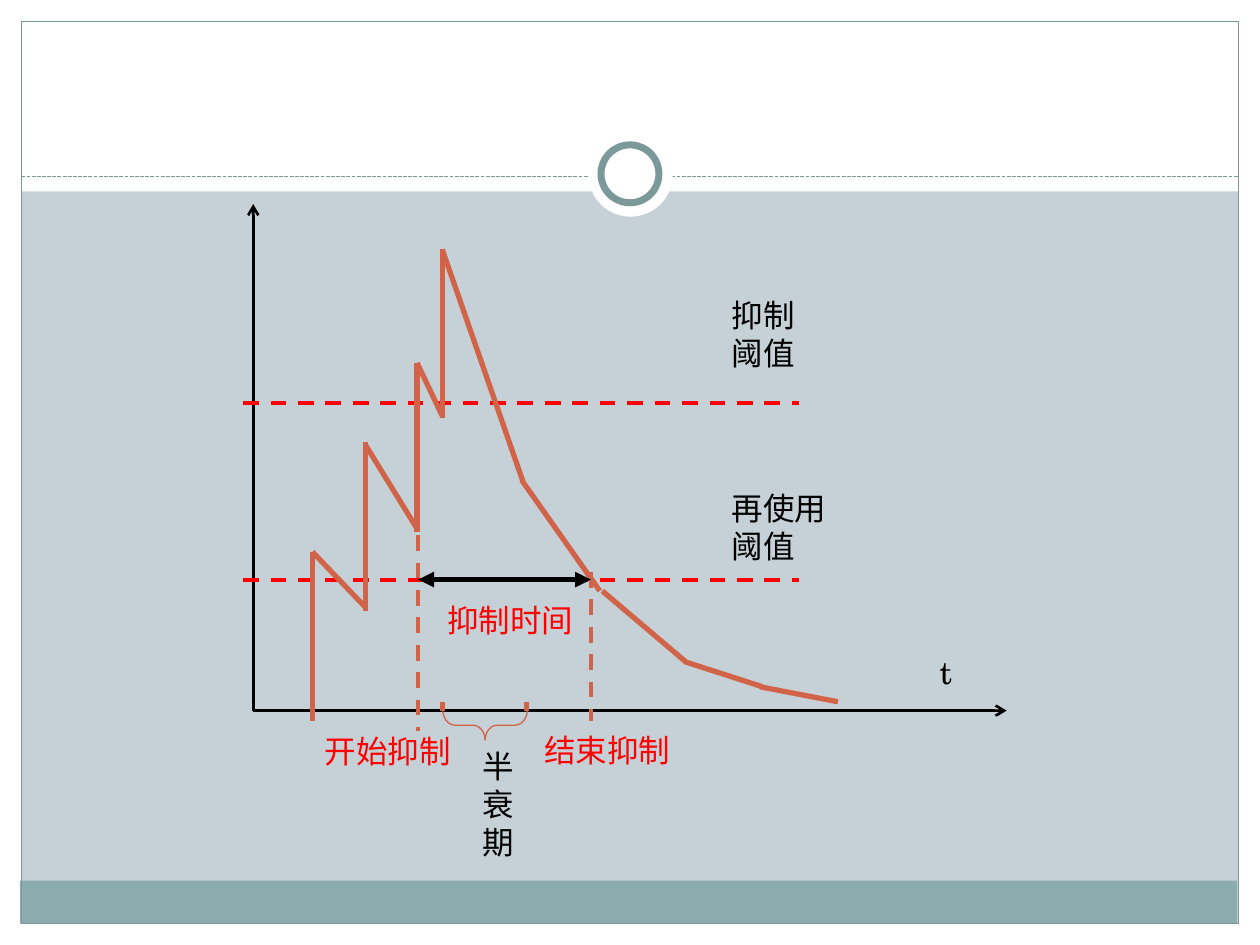
from pptx import Presentation
from pptx import util as u
from pptx.dml.color import RGBColor
from pptx.enum import dml, shapes, text
from pptx.oxml import ns, xmlchemy

PX = 9144
COLORS = {"bg": "C5D1D7", "white": "FFFFFF", "band": "8CADAE", "frame": "7C999A",
          "black": "000000", "red": "FF0000", "curve": "D16349"}
CJK, LATIN = "Noto Sans CJK SC", "TeX Gyre Schola"
DASH = dml.MSO_LINE.DASH
SHAPE = shapes.MSO_SHAPE


def rgb(name):
    return RGBColor.from_string(COLORS[name])


def add_xml(parent, tag, **attrs):
    el = xmlchemy.OxmlElement(tag)
    for key, value in attrs.items():
        el.set(key, value)
    parent.append(el)


class Canvas:
    frame_format = {"word_wrap": True, "auto_size": text.MSO_AUTO_SIZE.SHAPE_TO_FIT_TEXT}
    font_size = u.Pt(18)

    def __init__(self, slide):
        self.s = slide
        fill = slide.background.fill
        fill.solid()
        fill.fore_color.rgb = rgb("bg")

    def stroke(self, line, color, width, dash=None):
        line.color.rgb = rgb(color)
        for key, value in {"width": u.Pt(width), "dash_style": dash}.items():
            setattr(line, key, value)

    def shape(self, kind, box, fill=None, line=None, width=0.75):
        sp = self.s.shapes.add_shape(kind, *(v * PX for v in box))
        sp.shadow.inherit = False
        if fill:
            sp.fill.solid()
            sp.fill.fore_color.rgb = rgb(fill)
        else:
            sp.fill.background()
        if line:
            self.stroke(sp.line, line, width)
        else:
            sp.line.fill.background()
        return sp

    def line(self, x1, y1, x2, y2, color="curve", width=3, dash=None, head=None, tail=None):
        c = self.s.shapes.add_connector(shapes.MSO_CONNECTOR.STRAIGHT,
                                        *(v * PX for v in (x1, y1, x2, y2)))
        self.stroke(c.line, color, width, dash)
        ln = c.line._get_or_add_ln()
        for tag, kind in (("a:headEnd", head), ("a:tailEnd", tail)):
            if kind:
                add_xml(ln, tag, type=kind)
        add_xml(c._element.spPr, "a:effectLst")

    def label(self, box, lines, color="black", font=CJK):
        tf = self.s.shapes.add_textbox(*(v * PX for v in box)).text_frame
        for key, value in self.frame_format.items():
            setattr(tf, key, value)
        for i, content in enumerate(lines):
            p = tf.paragraphs[0] if i == 0 else tf.add_paragraph()
            r = p.add_run()
            r.text = content
            for key, value in {"name": font, "size": self.font_size}.items():
                setattr(r.font, key, value)
            r.font.color.rgb = rgb(color)
            add_xml(r._r.find(ns.qn("a:rPr")), "a:ea", typeface=font)


def draw_backdrop(c):
    for box in ((0, 733, 1000, 17), (0, 0, 1000, 152), (0, 0, 17, 750), (983, 0, 17, 750)):
        c.shape(SHAPE.RECTANGLE, box, "white")
    c.shape(SHAPE.RECTANGLE, (16, 699, 966, 34), "band")
    c.shape(SHAPE.RECTANGLE, (17, 17, 966, 716), line="frame")
    c.line(17, 140, 983, 140, "frame", 0.75, dml.MSO_LINE.SQUARE_DOT)
    c.shape(SHAPE.OVAL, (467, 105, 67, 67), "white")
    c.shape(SHAPE.OVAL, (477, 115, 46, 46), "white", "frame", 4)


def draw_axes(c):
    for end in ((799, 564), (201, 162)):
        c.line(201, 564, *end, "black", 1.5, tail="arrow")
    for y in (320, 460):
        c.line(193, y, 634, y, "red", 2.25, DASH)
    c.label((571, 230, 79, 71), ["抑制阈值"])
    c.label((571, 383, 96, 71), ["再使用阈值"])
    c.label((736, 513, 39, 40), ["t"], font=LATIN)


def draw_curve(c):
    for x, bottom in ((248, 572), (290, 485), (331, 422), (351, 332)):
        c.line(x, bottom, x, bottom - 134)
    for decay in ((290, 482, 248, 438), (330, 418, 290, 353), (351, 330, 331, 288),
                  (415, 382, 351, 198), (476, 469, 414, 381), (544, 525, 478, 469),
                  (605, 545, 543, 525), (665, 557, 603, 545)):
        c.line(*decay)


def draw_intervals(c):
    for x, top, bottom in ((332, 403, 580), (469, 454, 572)):
        c.line(x, top, x, bottom, width=2.25, dash=DASH)
    c.line(332, 460, 469, 460, "black", head="triangle", tail="triangle")
    c.label((373, 588, 49, 101), "半衰期")
    brace = c.shape(SHAPE.LEFT_BRACE, (373, 542, 24, 67), line="curve")
    brace.rotation = 270
    brace.adjustments[0], brace.adjustments[1] = 0.4, 0.5
    for x in (351, 418):
        c.line(x, 557, x, 564)
    for x, y, name in ((248, 576, "开始抑制"), (422, 575, "结束抑制"), (345, 472, "抑制时间")):
        c.label((x, y, 141, 40), [name], "red")


def main():
    prs = Presentation()
    prs.slide_width, prs.slide_height = 1000 * PX, 750 * PX
    c = Canvas(prs.slides.add_slide(prs.slide_layouts[6]))
    for draw in (draw_backdrop, draw_axes, draw_curve, draw_intervals):
        draw(c)
    prs.save("out.pptx")


if __name__ == "__main__":
    main()
